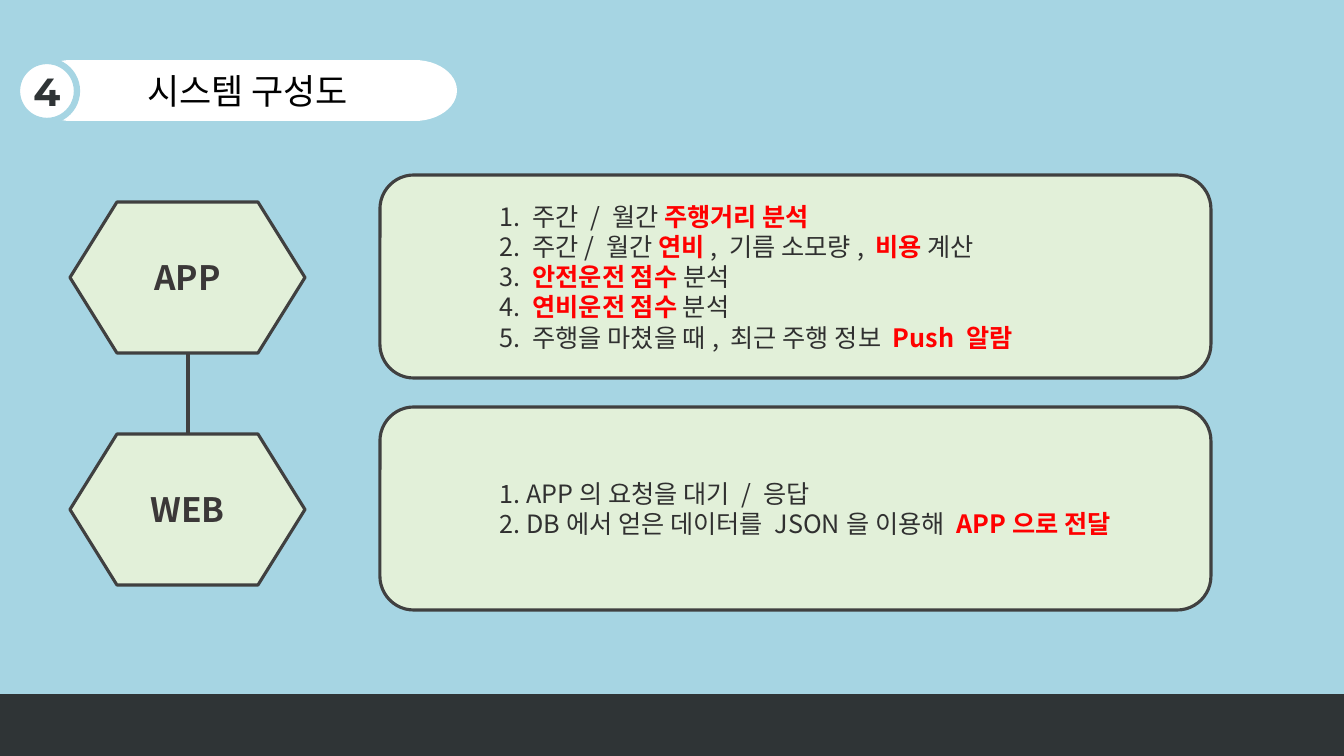
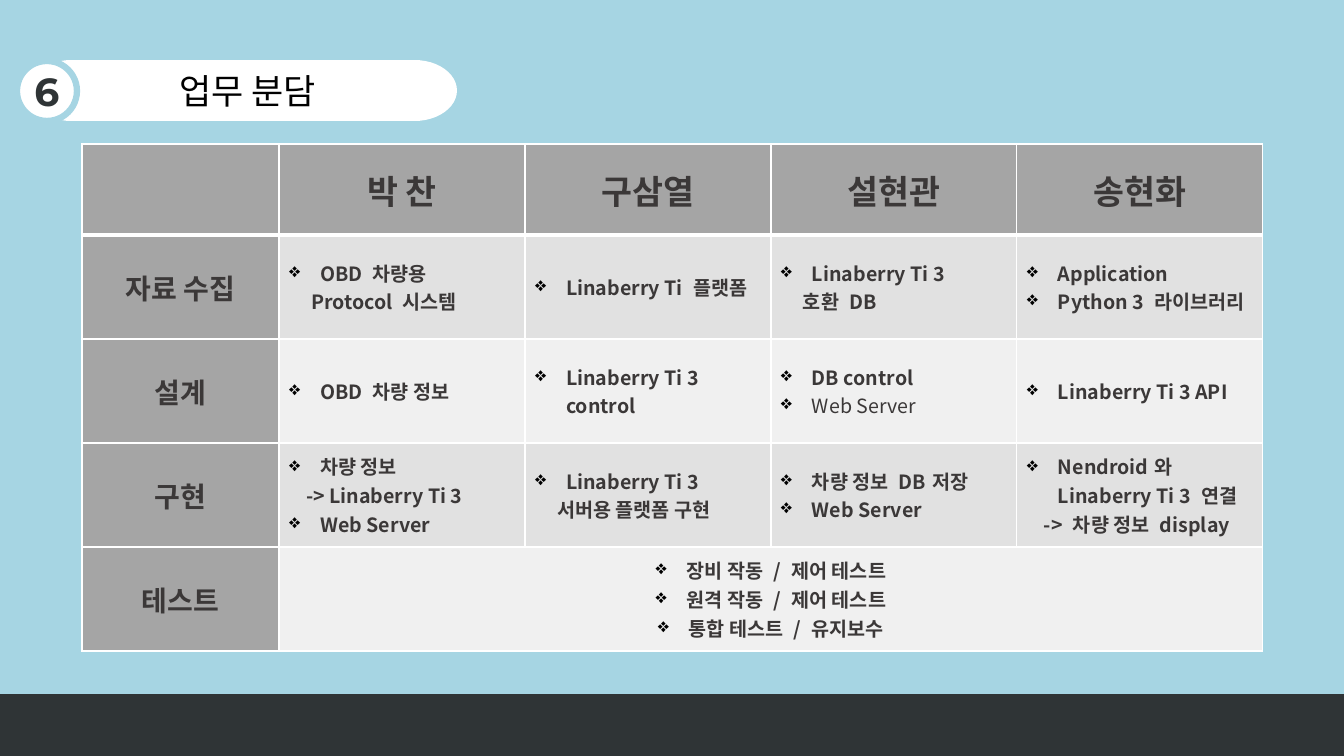
"""Build two project slides: the system structure and the division of work."""
from lxml import etree
from pptx import Presentation
from pptx.dml.color import RGBColor
from pptx.enum.shapes import MSO_CONNECTOR, MSO_SHAPE
from pptx.enum.text import MSO_ANCHOR, PP_ALIGN
from pptx.oxml.ns import qn
from pptx.util import Pt

PIXEL = 914400 / 100.8
LEFT, CENTER = PP_ALIGN.LEFT, PP_ALIGN.CENTER
MIDDLE = MSO_ANCHOR.MIDDLE
RECTANGLE, OVAL = MSO_SHAPE.RECTANGLE, MSO_SHAPE.OVAL
PANEL, HEXAGON = MSO_SHAPE.ROUNDED_RECTANGLE, MSO_SHAPE.FLOWCHART_PREPARATION
STRAIGHT = MSO_CONNECTOR.STRAIGHT
BODY_FONT, NUMBER_FONT = "Noto Sans CJK KR", "Montserrat"
BULLET = "❖"
INDENTS = {BULLET: 31, "-": 17}
COLORS = {name: RGBColor.from_string(value) for name, value in {
    "sky": "A6D5E3", "dark": "2F3436", "white": "FFFFFF", "black": "000000",
    "green": "E2F0D9", "outline": "404040", "label": "3B3838", "text": "303030",
    "red": "FF0000", "header": "A5A5A5", "odd": "E1E1E1", "even": "F0F0F0"}.items()}


def px(length):
    return round(length * PIXEL)


def write(frame, lines, size, color, bold=False, font=BODY_FONT, align=CENTER,
          indent=0, accent_color=None, accent_bold=True):
    frame.word_wrap = True
    for index, line in enumerate(lines):
        para = frame.add_paragraph() if index else frame.paragraphs[0]
        para.alignment = align
        margin = INDENTS.get(line[0], indent)
        properties = para._p.get_or_add_pPr()
        properties.set("marL", str(px(margin)))
        if line.startswith(BULLET):
            properties.set("indent", str(px(-margin)))
            tint = etree.SubElement(properties, qn("a:buClr"))
            etree.SubElement(tint, qn("a:srgbClr"), val=str(COLORS["black"]))
            etree.SubElement(properties, qn("a:buChar"), char=BULLET)
        for part, text in enumerate(line.removeprefix(BULLET).split("|")):
            if not text:
                continue
            accent = part % 2 == 1
            span = para.add_run()
            span.text = text
            span.font.size = Pt(size)
            span.font.bold = accent_bold if accent else bold
            span.font.color.rgb = COLORS[accent_color if accent and accent_color else color]
            span.font.name = font
            etree.SubElement(span._r.get_or_add_rPr(), qn("a:ea"), typeface=font)


def add_box(page, kind, place, fill, line=None, width=1):
    box = page.shapes.add_shape(kind, *map(px, place))
    box.shadow.inherit = False
    box.fill.solid()
    box.fill.fore_color.rgb = COLORS[fill]
    if line:
        box.line.color.rgb = COLORS[line]
        box.line.width = Pt(width)
    else:
        box.line.fill.background()
    frame = box.text_frame
    frame.vertical_anchor = MIDDLE
    frame.margin_left = frame.margin_right = frame.margin_top = frame.margin_bottom = 0
    return box


deck = Presentation()
deck.slide_width, deck.slide_height = px(1344), px(756)

pages = []
for number, title in (("4", "시스템 구성도"), ("6", "업무 분담")):
    page = deck.slides.add_slide(deck.slide_layouts[6])
    page.background.fill.solid()
    page.background.fill.fore_color.rgb = COLORS["sky"]
    for left in (372, 29):
        add_box(page, OVAL, (left, 60, 85, 61), "white")
    title_bar = add_box(page, RECTANGLE, (75, 60, 345, 61), "white")
    write(title_bar.text_frame, [title], 25, "black")
    badge = add_box(page, OVAL, (17, 61, 60, 60), "white", "sky", 4.5)
    write(badge.text_frame, [number], 28, "dark", bold=True, font=NUMBER_FONT)
    add_box(page, RECTANGLE, (0, 695, 1344, 61), "dark", "dark")
    pages.append(page)
structure_page, work_page = pages

link = structure_page.shapes.add_connector(STRAIGHT, px(188), px(353), px(188), px(434))
link.line.color.rgb = COLORS["outline"]
link.line.width = Pt(3)
etree.SubElement(link._element.spPr, qn("a:effectLst"))

parts = (
    ("APP", ["1. 주간 / 월간 |주행거리 분석|",
             "2. 주간/ 월간 |연비|, 기름 소모량, |비용| 계산",
             "3. |안전운전 점수 |분석",
             "4. |연비운전 점수| 분석",
             "5. 주행을 마쳤을 때, 최근 주행 정보 |Push 알람|"]),
    ("WEB", ["1. APP의 요청을 대기 / 응답",
             "2. DB에서 얻은 데이터를 JSON을 이용해 |APP으로 전달|"]),
)
for row, (name, features) in enumerate(parts):
    offset = row * 232
    hexagon = add_box(structure_page, HEXAGON, (70, 202 + offset, 235, 151),
                      "green", "outline", 2.25)
    write(hexagon.text_frame, [name], 24, "label", bold=True)
    panel = add_box(structure_page, PANEL, (380, 175 + offset, 831, 203),
                    "green", "outline", 2.25)
    write(panel.text_frame, features, 18, "text", align=LEFT, indent=110, accent_color="red")

members = ["", "박 찬", "구삼열", "설현관", "송현화"]
tasks = [
    ["자료 수집", ["❖OBD 차량용", "Protocol 시스템"], ["❖Linaberry Ti 플랫폼"],
     ["❖Linaberry Ti 3", "호환 DB"], ["❖Application", "❖Python 3 라이브러리"]],
    ["설계", ["❖OBD 차량 정보"], ["❖Linaberry Ti 3 control"],
     ["❖DB control", "❖|Web Server|"], ["❖Linaberry Ti 3 API"]],
    ["구현", ["❖차량 정보", "-> Linaberry Ti 3", "❖Web Server"],
     ["❖Linaberry Ti 3", "서버용 플랫폼 구현"], ["❖차량 정보 DB저장", "❖Web Server"],
     ["❖Nendroid와 Linaberry Ti 3 연결", "-> 차량 정보 display"]],
    ["테스트", ["❖장비 작동 / 제어 테스트", "❖원격 작동 / 제어 테스트",
             "❖통합 테스트 / 유지보수"], [], [], []],
]
table = work_page.shapes.add_table(5, 5, px(82), px(144), px(1181), px(507)).table
for index in range(5):
    table.columns[index].width = px(246 if index else 197)
    table.rows[index].height = px(104 if index else 91)
table.cell(4, 1).merge(table.cell(4, 4))

for row, contents in enumerate([members, *tasks]):
    for column, content in enumerate(contents):
        cell = table.cell(row, column)
        cell.vertical_anchor = MIDDLE
        for side in "LRTB":
            heavy = (row, side) in ((0, "B"), (1, "T"))
            border = etree.SubElement(cell._tc.get_or_add_tcPr(), qn(f"a:ln{side}"),
                                      w=str(Pt(3 if heavy else 1)))
            paint = etree.SubElement(border, qn("a:solidFill"))
            etree.SubElement(paint, qn("a:srgbClr"), val=str(COLORS["white"]))
        heading = row == 0 or column == 0
        cell.fill.solid()
        cell.fill.fore_color.rgb = COLORS["header" if heading else "odd" if row % 2 else "even"]
        if not content:
            continue
        if heading:
            write(cell.text_frame, [content], 20 if row else 24, "label", bold=True)
        else:
            write(cell.text_frame, content, 14, "label", bold=True, indent=22,
                  align=CENTER if row == 4 else LEFT, accent_bold=False)

deck.save("out.pptx")
